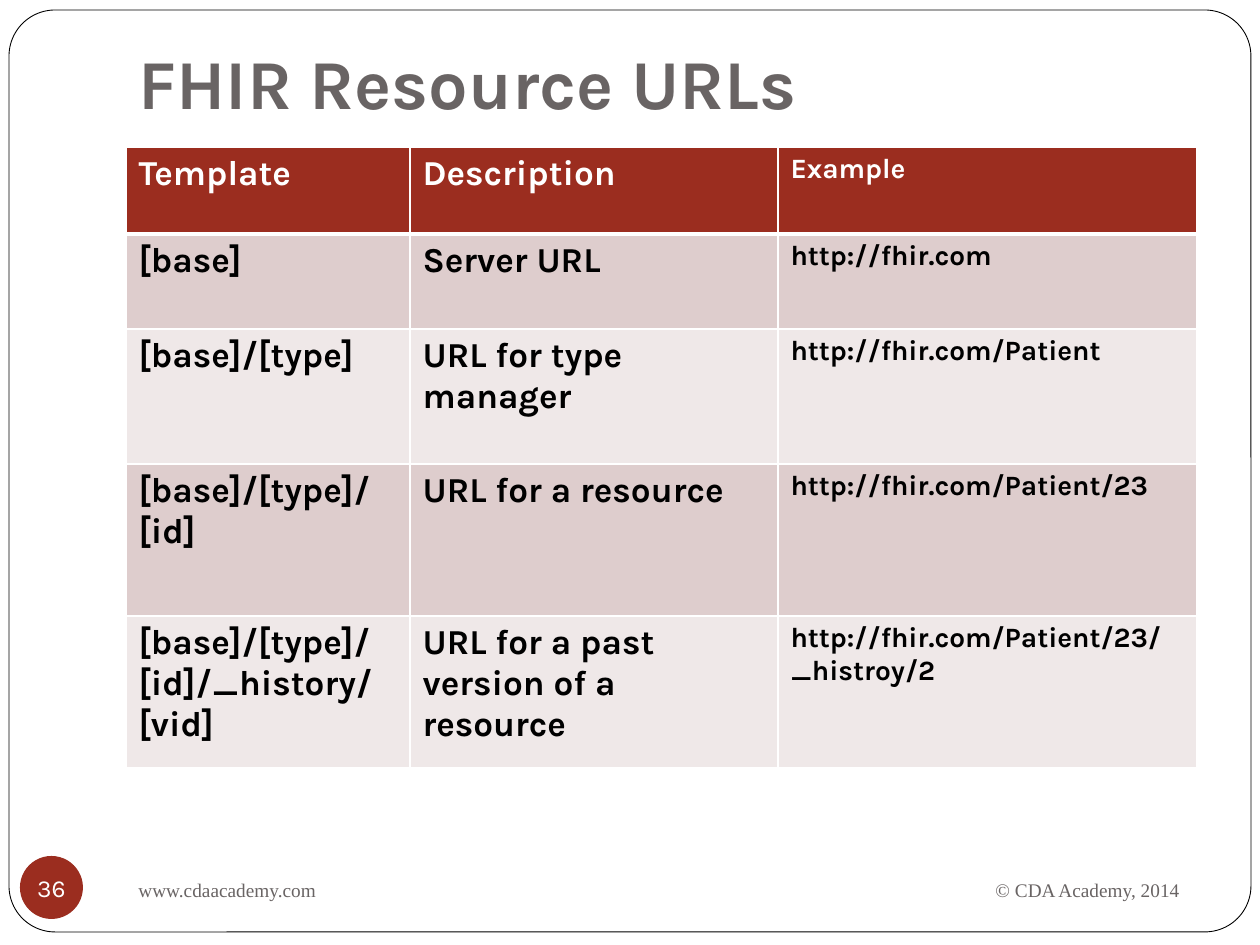
"""Build the FHIR resource URL table slide."""
import dataclasses

import pptx
import pptx.dml.color
import pptx.enum.shapes
import pptx.enum.text
import pptx.oxml
import pptx.oxml.ns
import pptx.util

RGB = pptx.dml.color.RGBColor.from_string
SHAPE = pptx.enum.shapes.MSO_SHAPE
ALIGN = pptx.enum.text.PP_ALIGN
ANCHOR = pptx.enum.text.MSO_ANCHOR


@dataclasses.dataclass(frozen=True)
class Theme:
    """Colours, fonts and type sizes of the slide."""
    white: str = "FFFFFF"
    black: str = "000000"
    accent: str = "9B2D1F"
    grey: str = "696464"
    bands: tuple = ("DECDCD", "EFE8E8")
    sans: str = "Karla"
    serif: str = "Times New Roman"
    title: int = 40
    cell: int = 20
    example: int = 16
    number: int = 14
    footer: int = 11


THEME = Theme()
COLUMNS = (284, 368, 419)
ROW_HEIGHTS = (87, 95, 135, 152, 152)
ROWS = (
    ("Template", "Description", "Example"),
    ("[base]", "Server URL", "http://fhir.com"),
    ("[base]/[type]", "URL for type manager", "http://fhir.com/Patient"),
    ("[base]/[type]/[id]", "URL for a resource", "http://fhir.com/Patient/23"),
    ("[base]/[type]/[id]/_history/[vid]", "URL for a past version of a resource",
     "http://fhir.com/Patient/23/_histroy/2"),
)


def px(n):
    """Turn px at 126 to the inch into EMU."""
    return pptx.util.Emu(round(n * 914400 / 126))


def write(tf, text, size, color, font=THEME.sans, bold=False, align=ALIGN.LEFT):
    """Set the text of a frame and format its run."""
    tf.text = text
    p = tf.paragraphs[0]
    p.alignment = align
    f = p.runs[0].font
    f.name, f.size, f.bold = font, pptx.util.Pt(size), bold
    f.color.rgb = RGB(color)


def add_text(s, box, text, size, anchor=ANCHOR.TOP, **style):
    """Add a wrapping grey text box."""
    tf = s.shapes.add_textbox(*map(px, box)).text_frame
    tf.word_wrap = True
    tf.vertical_anchor = anchor
    write(tf, text, size, THEME.grey, **style)
    return tf


def add_shape(s, kind, box, fill):
    """Add a filled preset shape without shadow."""
    sp = s.shapes.add_shape(kind, *map(px, box))
    sp.shadow.inherit = False
    sp.fill.solid()
    sp.fill.fore_color.rgb = RGB(fill)
    return sp


def add_frame(s):
    """Add the rounded outline around the slide."""
    sp = add_shape(s, SHAPE.ROUNDED_RECTANGLE, (9, 10, 1242, 922), THEME.white)
    sp.adjustments[0] = 0.05
    sp.line.color.rgb = RGB(THEME.black)
    sp.line.width = pptx.util.Pt(0.5)


def add_badge(s, number):
    """Add the round slide number."""
    sp = add_shape(s, SHAPE.OVAL, (20, 856, 63, 63), THEME.accent)
    sp.line.fill.background()
    tf = sp.text_frame
    tf.margin_left = tf.margin_right = tf.margin_top = tf.margin_bottom = 0
    tf.word_wrap = False
    tf.vertical_anchor = ANCHOR.MIDDLE
    write(tf, number, THEME.number, THEME.white, align=ALIGN.CENTER)


def set_borders(cell, **widths):
    """Give a cell white borders of the given point widths."""
    tc_pr = cell._tc.get_or_add_tcPr()
    for side, width in widths.items():
        tc_pr.append(pptx.oxml.parse_xml(
            f'<a:ln{side} {pptx.oxml.ns.nsdecls("a")} w="{pptx.util.Pt(width)}">'
            f'<a:solidFill><a:srgbClr val="{THEME.white}"/></a:solidFill></a:ln{side}>'))


def add_url_table(s):
    """Add the table of URL templates."""
    table = s.shapes.add_table(len(ROWS), len(COLUMNS), px(126), px(147),
                               px(sum(COLUMNS)), px(sum(ROW_HEIGHTS))).table
    table.horz_banding = False
    for column, width in zip(table.columns, COLUMNS):
        column.width = px(width)
    for i, (height, texts) in enumerate(zip(ROW_HEIGHTS, ROWS)):
        table.rows[i].height = px(height)
        header = i == 0
        for j, text in enumerate(texts):
            cell = table.cell(i, j)
            set_borders(cell, L=1, R=1, T=3 if i == 1 else 1, B=3 if header else 1)
            cell.fill.solid()
            cell.fill.fore_color.rgb = RGB(THEME.accent if header else THEME.bands[(i - 1) % 2])
            write(cell.text_frame, text, THEME.example if j == 2 else THEME.cell,
                  THEME.white if header else THEME.black, bold=True)


def main():
    """Build and save the slide."""
    prs = pptx.Presentation()
    prs.slide_width, prs.slide_height = px(1260), px(945)
    s = prs.slides.add_slide(prs.slide_layouts[6])
    add_frame(s)
    title = add_text(s, (126, 38, 1071, 98), "FHIR Resource URLs", THEME.title,
                     anchor=ANCHOR.BOTTOM, bold=True)
    title.margin_bottom = pptx.util.Inches(0.1)
    add_url_table(s)
    add_badge(s, "36")
    add_text(s, (126, 872, 546, 42), "www.cdaacademy.com", THEME.footer, font=THEME.serif)
    add_text(s, (851, 872, 341, 48), "© CDA Academy, 2014", THEME.footer,
             font=THEME.serif, align=ALIGN.RIGHT)
    prs.save("out.pptx")


if __name__ == "__main__":
    main()
